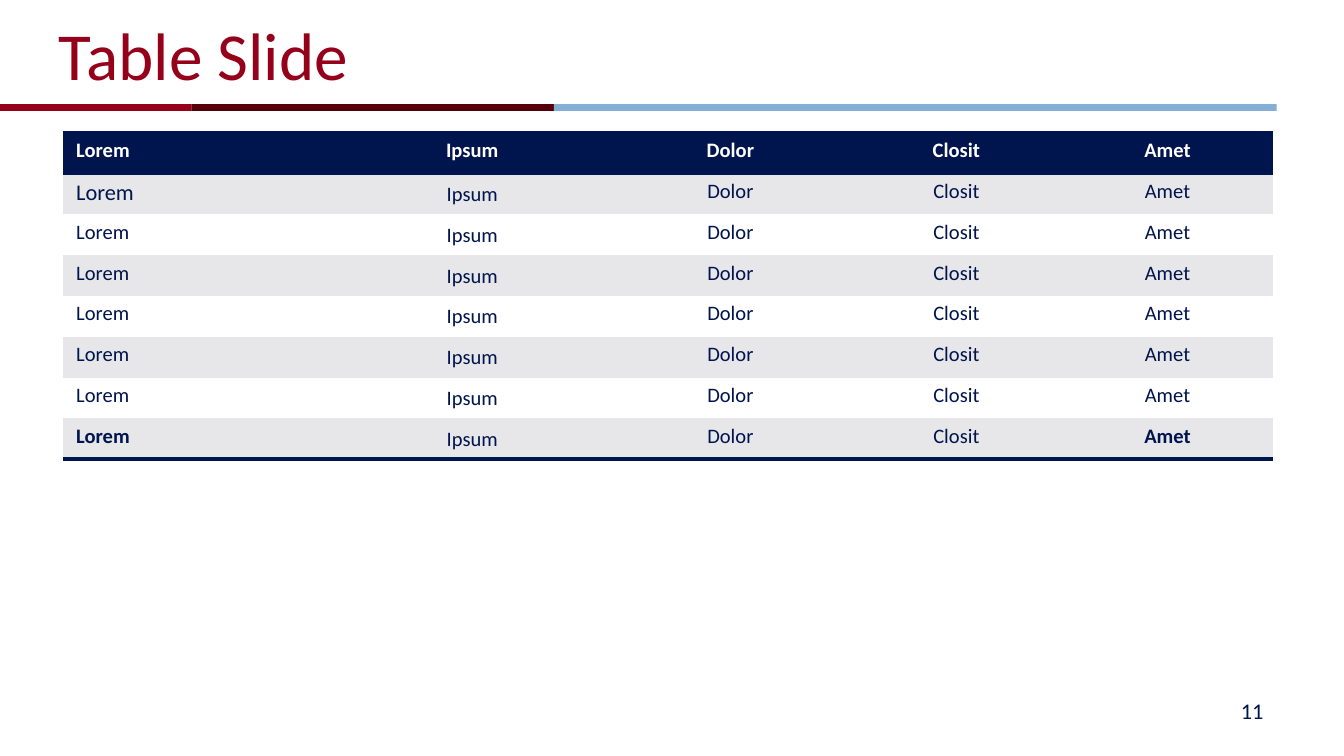
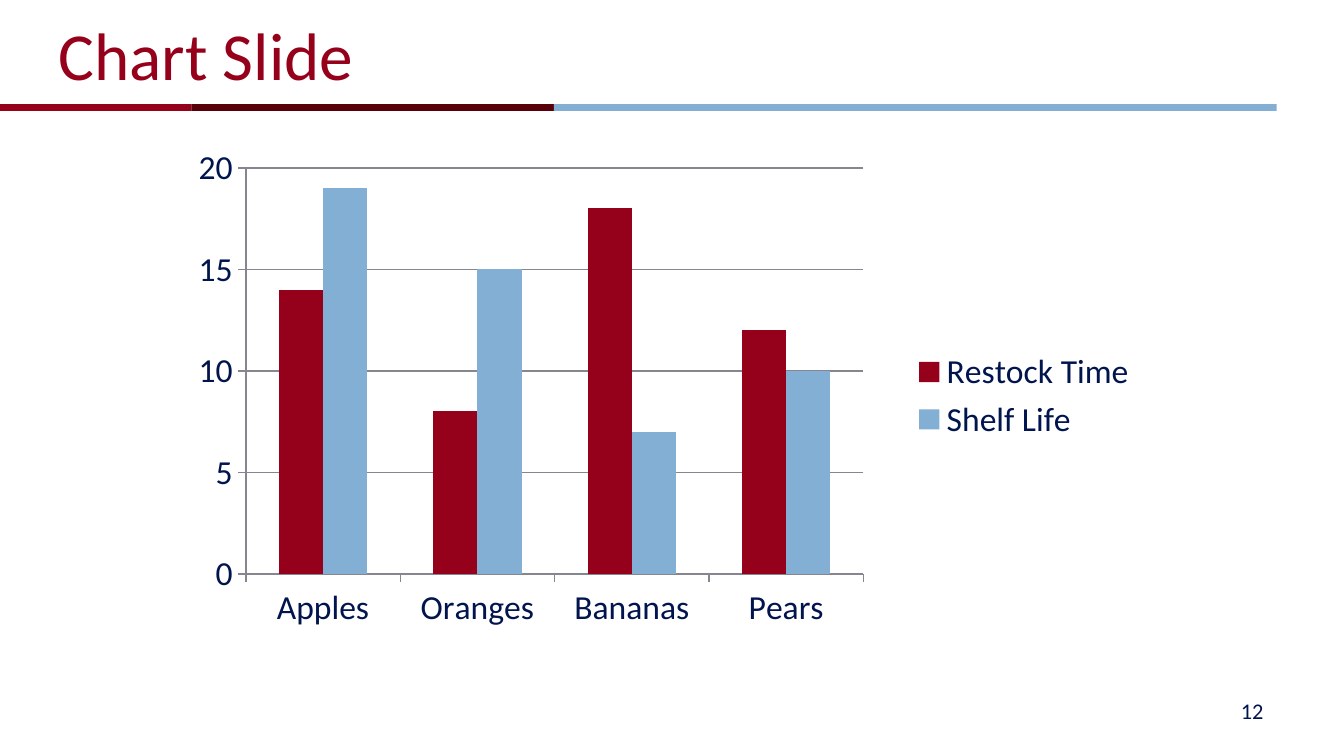
from lxml.etree import SubElement
from pptx import Presentation
from pptx.chart.data import CategoryChartData
from pptx.dml.color import RGBColor
from pptx.enum.chart import XL_CHART_TYPE, XL_LEGEND_POSITION, XL_TICK_MARK
from pptx.enum.shapes import MSO_SHAPE
from pptx.enum.text import MSO_ANCHOR, PP_ALIGN
from pptx.oxml import parse_xml
from pptx.oxml.ns import nsdecls, qn
from pptx.util import Cm, Pt

# Content
TABLE_TITLE, TABLE_NUMBER = "Table Slide", 11
HEADINGS = ["Lorem", "Ipsum", "Dolor", "Closit", "Amet"]
BODY_ROWS = 7
ROWS = [HEADINGS] * (1 + BODY_ROWS)
COLUMN_WIDTHS = [5.13, 5.21, 4.55, 3.99, 3.99]

CHART_TITLE, CHART_NUMBER = "Chart Slide", 12
FRUITS = ["Apples", "Oranges", "Bananas", "Pears"]
SERIES = [
    ("Restock Time", [14, 8, 18, 12], "red"),
    ("Shelf Life", [19, 15, 7, 10], "blue"),
]

# Shared look
FONT = "Calibri"
COLORS = {
    "red": "95001A",
    "maroon": "57000A",
    "blue": "82AFD3",
    "navy": "00144D",
    "stripe": "E7E7E9",
    "white": "FFFFFF",
    "grid": "868690",
}
BAND_LEFT, BAND_TOP, BAND_HEIGHT = -0.02, 1.97, 0.13
BANDS = [("red", 3.64), ("maroon", 6.85), ("blue", 13.66)]


def color(name):
    return RGBColor.from_string(COLORS[name])


def style_font(font, size, color_name, bold=False):
    font.name = FONT
    font.size = Pt(size)
    font.bold = bold
    font.color.rgb = color(color_name)


def add_text(page, text, place, size, color_name, align):
    box = page.shapes.add_textbox(*map(Cm, place))
    frame = box.text_frame
    frame.word_wrap = True
    frame.vertical_anchor = MSO_ANCHOR.MIDDLE
    para = frame.paragraphs[0]
    para.text = text
    para.alignment = align
    style_font(para.font, size, color_name)


def add_page(deck, title, number):
    page = deck.slides.add_slide(deck.slide_layouts[6])
    left = BAND_LEFT
    for color_name, width in BANDS:
        band = page.shapes.add_shape(
            MSO_SHAPE.RECTANGLE, Cm(left), Cm(BAND_TOP), Cm(width), Cm(BAND_HEIGHT))
        band.shadow.inherit = False
        band.fill.solid()
        band.fill.fore_color.rgb = color(color_name)
        band.line.fill.background()
        left += width
    add_text(page, str(number), (18.21, 13.06, 5.92, 0.76), 12, "navy", PP_ALIGN.RIGHT)
    add_text(page, title, (0.86, 0.05, 22.86, 1.93), 36, "red", PP_ALIGN.LEFT)
    return page


# Table
def add_borders(cell, sides):
    properties = cell._tc.get_or_add_tcPr()
    for index, side in enumerate(sides):
        properties.insert(index, parse_xml(
            f'<a:ln{side} {nsdecls("a")} w="{Pt(2)}"><a:solidFill>'
            f'<a:srgbClr val="{COLORS["navy"]}"/></a:solidFill></a:ln{side}>'))


def fill_cell(cell, text, row, column):
    header, last = row == 0, row == BODY_ROWS
    outer_column = column in (0, len(HEADINGS) - 1)
    cell.fill.solid()
    cell.fill.fore_color.rgb = color(
        "navy" if header else "stripe" if row % 2 else "white")
    cell.margin_left = cell.margin_right = Cm(0.25)
    cell.margin_top = cell.margin_bottom = Cm(0.1)
    if column == 1 and not header:
        cell.vertical_anchor = MSO_ANCHOR.MIDDLE
        cell.margin_left = cell.margin_right = cell.margin_top = Cm(0.02)
        cell.margin_bottom = 0
    para = cell.text_frame.paragraphs[0]
    para.text = text
    para.alignment = PP_ALIGN.CENTER if column else PP_ALIGN.LEFT
    style_font(para.font, 12 if (row, column) == (1, 0) else 11,
               "white" if header else "navy", header or (last and outer_column))
    if header:
        add_borders(cell, "TB")
    elif last:
        add_borders(cell, "B")


def add_table(page):
    table = page.shapes.add_table(
        len(ROWS), len(HEADINGS), Cm(1.19), Cm(2.51),
        Cm(sum(COLUMN_WIDTHS)), Cm(6.17)).table
    table.first_row = table.horz_banding = False
    style = table._tbl.tblPr.find(qn("a:tableStyleId"))
    style.text = "{2D5ABB26-0587-4C30-8999-92F81FD0307C}"
    for column, width in zip(table.columns, COLUMN_WIDTHS):
        column.width = Cm(width)
    for row, texts in enumerate(ROWS):
        for column, text in enumerate(texts):
            fill_cell(table.cell(row, column), text, row, column)


# Chart
def place_plot(chart, **fractions):
    plot_area = chart._chartSpace.chart.plotArea
    for old in plot_area.findall(qn("c:layout")):
        plot_area.remove(old)
    layout = parse_xml(f'<c:layout {nsdecls("c")}/>')
    manual = SubElement(layout, qn("c:manualLayout"))
    settings = {"layoutTarget": "inner", "xMode": "edge", "yMode": "edge", **fractions}
    for tag, value in settings.items():
        SubElement(manual, qn(f"c:{tag}")).set("val", str(value))
    plot_area.insert(0, layout)


def add_chart(page):
    data = CategoryChartData()
    data.categories = FRUITS
    for name, values, _ in SERIES:
        data.add_series(name, values)
    chart = page.shapes.add_chart(
        XL_CHART_TYPE.COLUMN_CLUSTERED, Cm(1.63), Cm(2.79), Cm(20.12), Cm(9.37), data).chart
    style_font(chart.font, 18, "navy")
    chart.has_title = False
    chart.has_legend = True
    chart.legend.position = XL_LEGEND_POSITION.RIGHT
    chart.legend.include_in_layout = False

    plot = chart.plots[0]
    plot.gap_width = 150
    plot.overlap = 0
    plot.vary_by_categories = False
    for series, (_, _, color_name) in zip(plot.series, SERIES):
        series.format.fill.solid()
        series.format.fill.fore_color.rgb = color(color_name)

    value_axis = chart.value_axis
    value_axis.minimum_scale, value_axis.maximum_scale = 0, 20
    value_axis.major_unit = 5
    value_axis.has_major_gridlines = True
    for axis in (chart.category_axis, value_axis):
        axis.major_tick_mark = XL_TICK_MARK.OUTSIDE
    for lined in (chart.category_axis, value_axis, value_axis.major_gridlines):
        lined.format.line.color.rgb = color("grid")
        lined.format.line.width = Pt(0.75)
    place_plot(chart, x=0.15, y=0.04, w=0.58, h=0.82)


def main():
    deck = Presentation()
    deck.slide_width, deck.slide_height = Cm(25.4), Cm(14.29)
    add_table(add_page(deck, TABLE_TITLE, TABLE_NUMBER))
    add_chart(add_page(deck, CHART_TITLE, CHART_NUMBER))
    deck.save("out.pptx")


if __name__ == "__main__":
    main()
